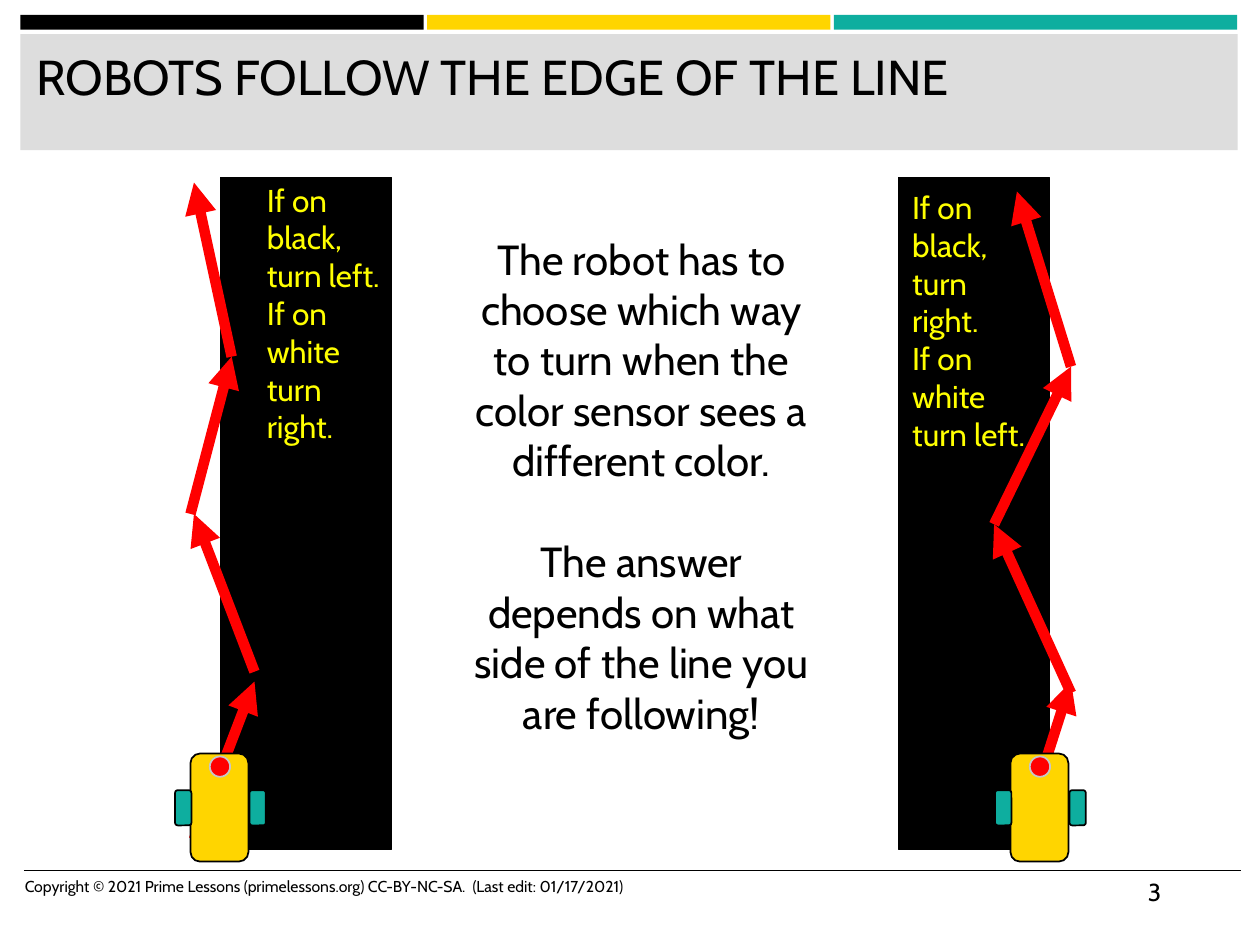
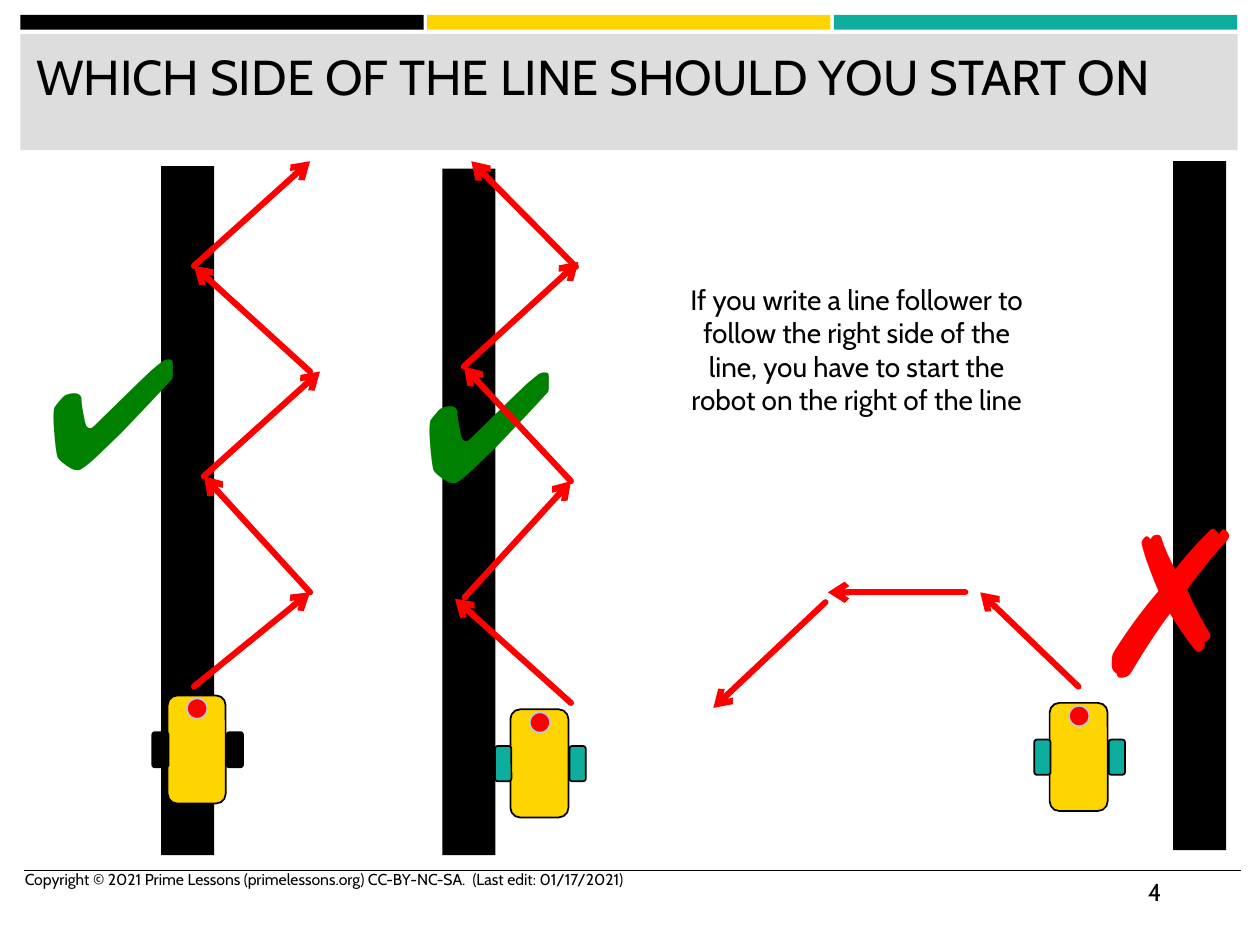
from pptx import Presentation
from pptx.dml.color import RGBColor as RGB
from pptx.enum.shapes import MSO_CONNECTOR as Link, MSO_SHAPE as Form
from pptx.enum.text import MSO_ANCHOR as Anchor, PP_ALIGN as Align
from pptx.oxml.ns import qn
from pptx.util import Cm, Pt
from lxml.etree import SubElement as Sub

BLACK = RGB(0x00, 0x00, 0x00)
GOLD = RGB(0xFF, 0xD5, 0x00)
TEAL = RGB(0x0E, 0xAE, 0x9F)
GREY = RGB(0xDD, 0xDD, 0xDD)
SILVER = RGB(0xC7, 0xC7, 0xC7)
RED = RGB(0xFF, 0x00, 0x00)
GREEN = RGB(0x00, 0x80, 0x00)
YELLOW = RGB(0xFF, 0xFF, 0x00)

FRAME = {"word_wrap": True, "vertical_anchor": Anchor.TOP,
         "margin_left": Cm(0.25), "margin_right": Cm(0.25),
         "margin_top": Cm(0.13), "margin_bottom": Cm(0.13)}
CREDIT = ("Copyright © 2021 Prime Lessons (primelessons.org) "
          "CC-BY-NC-SA.  (Last edit: 01/17/2021)")


def style(item, values):
    for key, value in values.items():
        setattr(item, key, value)


class Deck:
    def __init__(self):
        self.prs = Presentation()
        style(self.prs, {"slide_width": Cm(25.4), "slide_height": Cm(19.05)})
        self.slide = None

    def start(self, title, number, foot):
        """Add a slide with its bands, title and footer; foot is (top, height)."""
        self.slide = self.prs.slides.add_slide(self.prs.slide_layouts[5])
        for i, color in enumerate((BLACK, GOLD, TEAL)):
            self.shape((0.41 + 8.2 * i, 0.3, 8.13, 0.3), color)
        self.shape((0.41, 0.69, 24.54, 2.34), GREY)
        self.line((0.48, 17.55), (25.02, 17.55), BLACK, 1)
        head = self.slide.shapes.title
        box = zip(("left", "top", "width", "height"), (0.48, 0.81, 24.31, 2.08))
        style(head, {key: Cm(value) for key, value in box})
        self.fill(head.text_frame, [title], 28)
        tree = head._element.getparent()
        tree.append(head._element)  # in front of its band
        top, high = foot
        self.text((0.25, top, 13.54, high), [CREDIT], 9)
        self.text((22.89, 17.55, 2.13, 1.02), [number], 14)

    def shape(self, box, fill, form=Form.RECTANGLE, edge=None, width=1):
        item = self.slide.shapes.add_shape(form, *map(Cm, box))
        item.shadow.inherit = False
        item.fill.solid()
        item.fill.fore_color.rgb = fill
        if edge is None:
            item.line.fill.background()
        else:
            item.line.color.rgb = edge
            item.line.width = Pt(width)

    def line(self, start, end, color, width, tip=None, cap="flat"):
        item = self.slide.shapes.add_connector(
            Link.STRAIGHT, *map(Cm, (*start, *end)))
        item.line.color.rgb = color
        item.line.width = Pt(width)
        props = item._element.spPr
        ln = props.find(qn("a:ln"))
        ln.set("cap", cap)
        if tip:
            Sub(ln, qn("a:tailEnd"), type=tip)
        Sub(props, qn("a:effectLst"))

    def trail(self, chains, **look):
        """Draw red arrows from point to point along each chain."""
        for chain in chains:
            for start, end in zip(chain, chain[1:]):
                self.line(start, end, RED, **look)

    def fill(self, frame, lines, size, color=BLACK, align=Align.LEFT,
             gap=0, face="Cabin"):
        """Put one paragraph per line into a text frame."""
        style(frame, FRAME)
        for i, words in enumerate(lines):
            par = frame.add_paragraph() if i else frame.paragraphs[0]
            style(par, {"alignment": align, "space_before": Pt(gap if i else 0)})
            run = par.add_run()
            run.text = words
            style(run.font, {"size": Pt(size), "name": face, "bold": False})
            run.font.color.rgb = color

    def text(self, box, lines, size, **look):
        item = self.slide.shapes.add_textbox(*map(Cm, box))
        self.fill(item.text_frame, lines, size, **look)

    def robot(self, x, y, wheel=TEAL):
        rounded = Form.ROUNDED_RECTANGLE
        self.shape((x, y, 1.17, 2.18), GOLD, rounded, BLACK)
        for side in (1.19, -0.31):
            self.shape((x + side, y + 0.74, 0.33, 0.71), wheel, rounded, BLACK)
        self.shape((x + 0.39, y + 0.06, 0.41, 0.41), RED, Form.OVAL, SILVER)


def edges(deck):
    deck.start("ROBOTS FOLLOW THE EDGE OF THE LINE", "3", (17.55, 1.02))
    for x, width in ((4.45, 3.45), (18.11, 3.05)):
        deck.shape((x, 3.58, width, 13.54), BLACK, edge=BLACK, width=0.75)
    deck.trail([
        [(3.91, 16.92), (5.13, 13.74)],
        [(5.13, 13.54), (3.91, 10.36)],
        [(3.84, 10.36), (4.67, 7.19), (3.91, 3.68)],
        [(20.5, 17.15), (21.59, 13.74)],
        [(21.59, 13.97), (20.04, 10.57), (21.59, 7.39), (20.5, 3.86)],
    ], width=6, tip="triangle")
    deck.text((9.27, 4.57, 7.32, 11.53), [
        "The robot has to choose which way to turn when the color sensor "
        "sees a different color.",
        "The answer depends on what side of the line you are following!",
    ], 24, align=Align.CENTER, gap=29)
    for x, y, first, second in ((5.13, 3.51, "left", "right"),
                                (18.14, 3.66, "right", "left")):
        deck.text((x, y, 2.92, 5.64), [f"If on black, turn {first}.",
                                       f"If on white turn {second}."],
                  18, color=YELLOW)
    for x in (3.84, 20.37):
        deck.robot(x, 15.19)


def sides(deck):
    deck.start("WHICH SIDE OF THE LINE SHOULD YOU START ON", "4", (17.4, 0.91))
    for x, y, high in ((3.25, 3.35, 13.89), (8.92, 3.4, 13.84),
                       (23.65, 3.25, 13.89)):
        deck.shape((x, y, 1.07, high), BLACK)
    for x, y in ((0.69, 6.22), (8.26, 6.48)):
        deck.text((x, y, 2.72, 4.01), ["✔"], 88, color=GREEN, face="Arial")
    deck.text((21.69, 9.45, 2.72, 5.18), ["✗"], 115, color=RED, face="Arial")
    deck.trail([
        [(3.91, 13.84), (6.25, 11.94), (4.11, 9.6), (6.45, 7.49)],
        [(6.25, 7.49), (3.91, 5.36), (6.25, 3.25)],
        [(11.51, 14.17), (9.17, 12.07)],
        [(9.37, 12.04), (11.51, 9.7), (9.35, 7.39), (11.66, 5.28)],
        [(11.61, 5.38), (9.5, 3.25)],
        [(21.74, 13.84), (19.76, 11.94)],
        [(19.46, 11.94), (16.69, 11.94)],
        [(16.64, 12.14), (14.38, 14.27)],
    ], width=3.5, tip="arrow", cap="rnd")
    deck.robot(3.38, 14.02, BLACK)
    deck.robot(10.29, 14.3)
    deck.robot(21.16, 14.17)
    deck.text((13.61, 5.56, 7.32, 3), [
        "If you write a line follower to follow the right side of the line, "
        "you have to start the robot on the right of the line",
    ], 16, align=Align.CENTER)


def main():
    deck = Deck()
    edges(deck)
    sides(deck)
    deck.prs.save("out.pptx")


if __name__ == "__main__":
    main()
